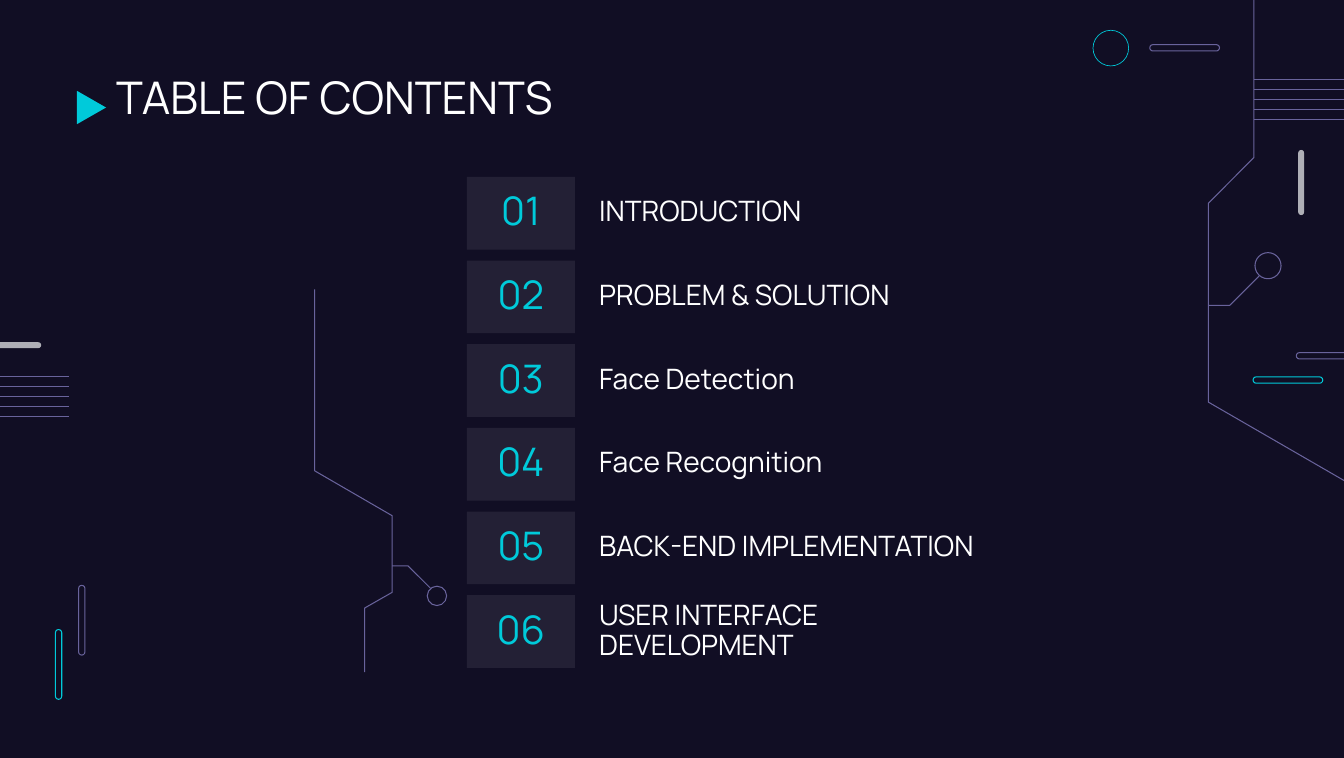
import pptx
import pptx.util
import pptx.dml.color
import pptx.enum.shapes
import pptx.enum.text
import pptx.oxml.ns
import lxml.etree

Pt = pptx.util.Pt
RGBColor = pptx.dml.color.RGBColor
MSO_SHAPE = pptx.enum.shapes.MSO_SHAPE
PP_ALIGN = pptx.enum.text.PP_ALIGN
MSO_ANCHOR = pptx.enum.text.MSO_ANCHOR
qn = pptx.oxml.ns.qn

NIGHT = RGBColor(0x11, 0x0E, 0x24)
TEAL = RGBColor(0x00, 0xCA, 0xDA)
PURPLE = RGBColor(0x69, 0x63, 0x9C)
GRAY = RGBColor(0xAF, 0xAF, 0xB6)
WHITE = RGBColor(0xFF, 0xFF, 0xFF)
FONT = "Manrope"
WIDTH, HEIGHT = 957.6, 540

deck = pptx.Presentation()
deck.slide_width, deck.slide_height = Pt(WIDTH), Pt(HEIGHT)
slide = deck.slides.add_slide(deck.slide_layouts[6])
slide.background.fill.solid()
slide.background.fill.fore_color.rgb = NIGHT
shapes = slide.shapes


def add_preset(kind, box, fill=None, line=None, weight=0.75):
    shape = shapes.add_shape(kind, *[Pt(length) for length in box])
    shape.shadow.inherit = False
    if fill is None:
        shape.fill.background()
    else:
        shape.fill.solid()
        shape.fill.fore_color.rgb = fill
    if line is None:
        shape.line.fill.background()
    else:
        shape.line.color.rgb = line
        shape.line.width = Pt(weight)
    return shape


def write(shape, text, size, color, align=PP_ALIGN.LEFT, anchor=MSO_ANCHOR.MIDDLE):
    frame = shape.text_frame
    frame.word_wrap = True
    frame.vertical_anchor = anchor
    frame.margin_left = frame.margin_right = Pt(7.2)
    frame.margin_top = frame.margin_bottom = Pt(7.2)
    frame.text = text
    paragraph = frame.paragraphs[0]
    paragraph.alignment = align
    paragraph.line_spacing = 0.9
    font = paragraph.runs[0].font
    font.name, font.size, font.color.rgb = FONT, Pt(size), color


pills = [
    ((39.5, 448.5, 4.5, 49.7), None, TEAL),
    ((56, 417, 4.5, 49.7), None, PURPLE),
    ((892.8, 268.5, 49.7, 4.5), None, TEAL),
    ((923.6, 251.2, 49.7, 4.5), None, PURPLE),
    ((819.2, 31.8, 49.7, 4.5), None, PURPLE),
    ((925, 106.8, 4.2, 46.4), GRAY, None),
    ((-16.8, 243.8, 46.2, 4.2), GRAY, None),
]
for box, fill, line in pills:
    pill = add_preset(MSO_SHAPE.ROUNDED_RECTANGLE, box, fill, line)
    pill.adjustments[0] = 0.5

rings = [
    (778.8, 21.6, 25.4, TEAL, 0.47),
    (894.2, 180, 18.6, PURPLE, 0.75),
    (304.4, 417.6, 13.8, PURPLE, 0.75),
]
for left, top, size, color, weight in rings:
    add_preset(MSO_SHAPE.OVAL, (left, top, size, size), None, color, weight)

circuits = [
    [(WIDTH, 342.3), (861, 286.5), (861, 144.8), (893.4, 112.3), (893.4, 0)],
    [(897.2, 196.6), (876.2, 217.5), (861, 217.5)],
    [(224.2, 206.2), (224.2, 335.4), (279.4, 367.4), (279.4, 422),
     (259.8, 433.2), (259.8, 478.8)],
    [(306.8, 419.2), (290.8, 403.2), (279.4, 403.2)],
]
for start, *rest in circuits:
    builder = shapes.build_freeform(Pt(start[0]), Pt(start[1]))
    builder.add_line_segments([(Pt(x), Pt(y)) for x, y in rest], close=False)
    circuit = builder.convert_to_shape()
    circuit.shadow.inherit = False
    circuit.fill.background()
    circuit.line.color.rgb = PURPLE
    circuit.line.width = Pt(0.75)

for left, right, top in [(893.4, WIDTH, 56.8), (0, 49.4, 268)]:
    for row in range(5):
        y = Pt(top + 7.15 * row)
        stripe = shapes.add_connector(
            pptx.enum.shapes.MSO_CONNECTOR.STRAIGHT, Pt(left), y, Pt(right), y)
        stripe.line.color.rgb = PURPLE
        stripe.line.width = Pt(0.75)
        lxml.etree.SubElement(stripe._element.spPr, qn("a:effectLst"))

marker = add_preset(MSO_SHAPE.FLOWCHART_MERGE, (53.3, 66.2, 23.8, 20.8), TEAL)
marker.rotation = 270

title = shapes.add_textbox(Pt(75.6), Pt(46.8), Pt(807), Pt(60.5))
write(title, "TABLE OF CONTENTS", 32, WHITE, anchor=MSO_ANCHOR.TOP)

topics = [
    "INTRODUCTION",
    "PROBLEM & SOLUTION",
    "Face Detection",
    "Face Recognition",
    "BACK-END IMPLEMENTATION",
    "USER INTERFACE DEVELOPMENT",
]
for index, topic in enumerate(topics):
    top = 126 + 59.6 * index
    number = add_preset(MSO_SHAPE.RECTANGLE, (332.6, top, 77, 51.8), WHITE)
    tint = number._element.spPr.find(qn("a:solidFill")).find(qn("a:srgbClr"))
    lxml.etree.SubElement(tint, qn("a:alpha")).set("val", "8000")
    write(number, f"{index + 1:02}", 28, TEAL, PP_ALIGN.CENTER)
    label = shapes.add_textbox(Pt(419.8), Pt(top), Pt(284.4), Pt(51.2))
    write(label, topic, 20, WHITE)

deck.save("out.pptx")
